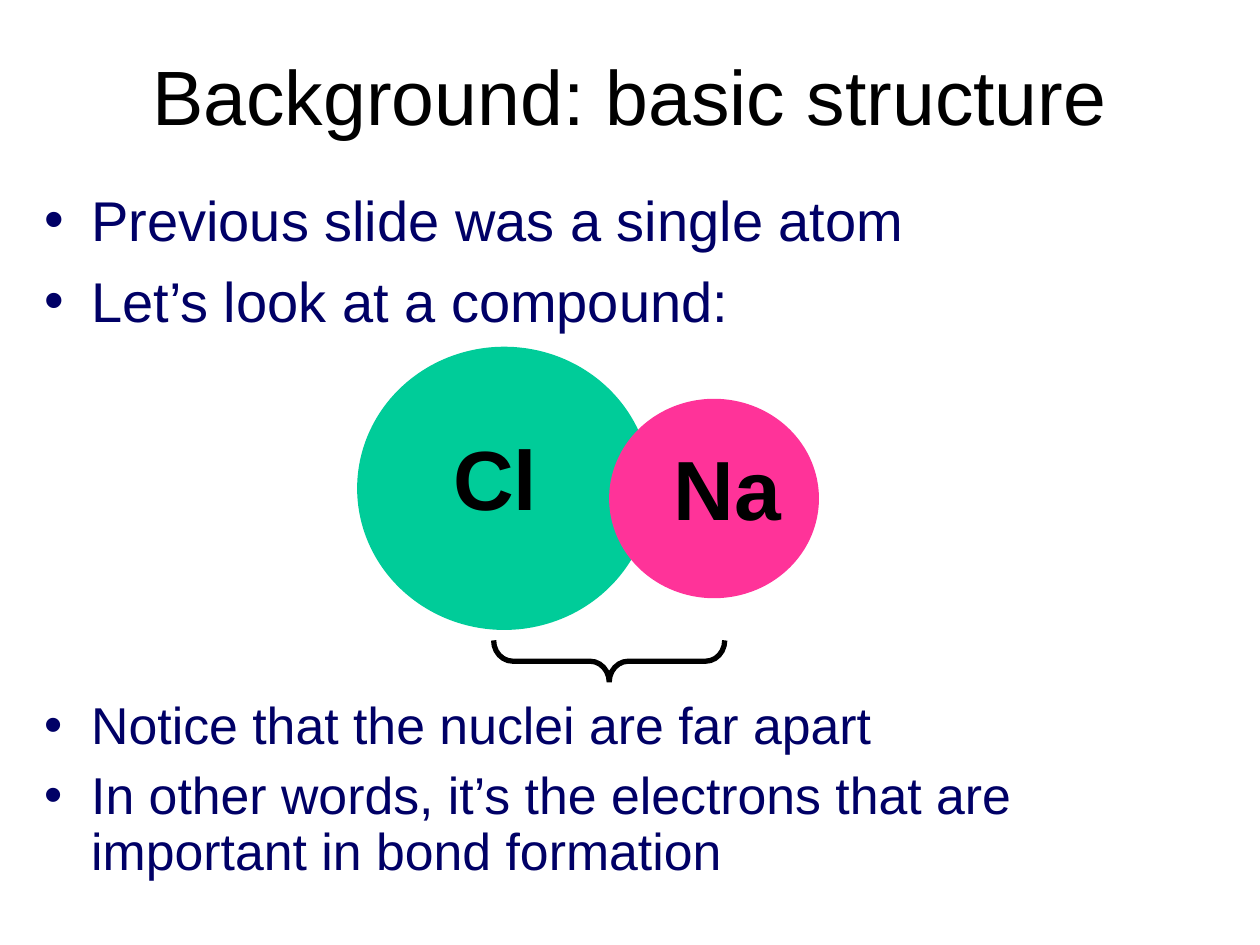
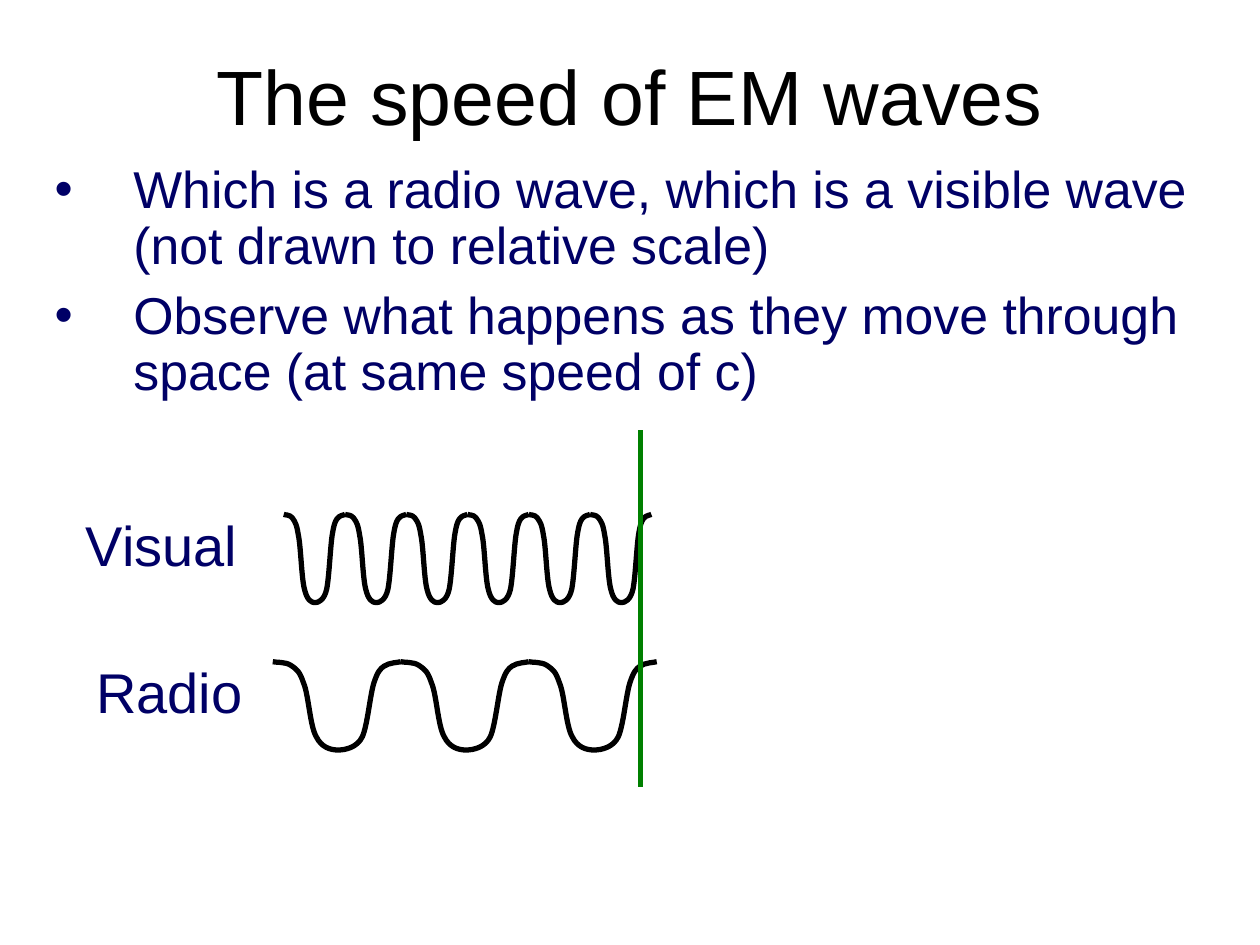
from dataclasses import dataclass

from lxml.etree import SubElement
from pptx import Presentation
from pptx.dml.color import RGBColor
from pptx.enum.shapes import MSO_CONNECTOR, MSO_SHAPE
from pptx.enum.text import MSO_ANCHOR, PP_ALIGN
from pptx.oxml.ns import qn
from pptx.util import Cm, Pt


@dataclass(frozen=True)
class Theme:
    font: str = "Arial"
    black: str = "000000"
    navy: str = "000066"
    chlorine: str = "00CC99"
    sodium: str = "FF3399"
    marker: str = "008000"
    title_size: float = 44
    body_size: float = 32
    compact_size: float = 29.6
    atom_size: float = 48
    line_width: float = 3
    bullet_gap: float = 8


THEME = Theme()

# One wave cycle as fractions of its width and height:
# each row holds two control points and the end of a Bézier curve.
WAVE_CURVES = [
    [(0.02, 0.01), (0.10, 0.00), (0.14, 0.04)],
    [(0.19, 0.09), (0.21, 0.11), (0.24, 0.24)],
    [(0.28, 0.37), (0.29, 0.73), (0.34, 0.85)],
    [(0.38, 0.97), (0.45, 1.00), (0.51, 1.00)],
    [(0.57, 1.00), (0.66, 0.97), (0.70, 0.85)],
    [(0.74, 0.72), (0.76, 0.38), (0.79, 0.24)],
    [(0.82, 0.11), (0.84, 0.08), (0.87, 0.05)],
    [(0.91, 0.01), (0.98, 0.01), (1.00, 0.00)],
]


def apply_format(target, values):
    for name, value in values.items():
        setattr(target, name, value)


def lengths(*values):
    return [Cm(value) for value in values]


def set_line(shape, colour):
    shape.line.color.rgb = RGBColor.from_string(colour)
    shape.line.width = Pt(THEME.line_width)


def make_outline(shape):
    shape.shadow.inherit = False
    shape.fill.background()
    set_line(shape, THEME.black)


def add_bullet(para, indent):
    properties = para._p.get_or_add_pPr()
    properties.set("marL", str(Cm(indent)))
    properties.set("indent", str(-Cm(indent)))
    colour = SubElement(properties, qn("a:buClr"))
    SubElement(colour, qn("a:srgbClr"), val=THEME.navy)
    SubElement(properties, qn("a:buFont"), typeface=THEME.font)
    SubElement(properties, qn("a:buChar"), char="•")


def add_text(page, place, lines, size, colour=THEME.navy, bold=False,
             para_format=None, anchor=MSO_ANCHOR.TOP, indent=None):
    """Add a text box with one paragraph per line, bulleted if indent is given."""
    box = page.shapes.add_textbox(*lengths(*place))
    frame = box.text_frame
    apply_format(frame, {"word_wrap": True, "vertical_anchor": anchor})
    for number, line in enumerate(lines):
        para = frame.add_paragraph() if number else frame.paragraphs[0]
        if indent:
            add_bullet(para, indent)
        apply_format(para, para_format or {})
        if number:
            para.space_before = Pt(THEME.bullet_gap)
        span = para.add_run()
        span.text = line
        apply_format(span.font, {"name": THEME.font, "size": Pt(size), "bold": bold})
        span.font.color.rgb = RGBColor.from_string(colour)


def add_title(page, title):
    add_text(page, (1.9, 0.85, 21.6, 2.11), [title], THEME.title_size, THEME.black,
             para_format={"alignment": PP_ALIGN.CENTER}, anchor=MSO_ANCHOR.MIDDLE)


def add_compact_bullets(page, place, lines, indent):
    add_text(page, place, lines, THEME.compact_size,
             para_format={"line_spacing": 0.9}, indent=indent)


def add_atom(page, place, colour):
    atom = page.shapes.add_shape(MSO_SHAPE.OVAL, *lengths(*place))
    atom.shadow.inherit = False
    atom.fill.solid()
    atom.fill.fore_color.rgb = RGBColor.from_string(colour)
    atom.line.fill.background()


def add_atom_label(page, left, top, symbol):
    add_text(page, (left, top, 3.39, 2.29), [symbol], THEME.atom_size,
             THEME.black, bold=True)


def add_brace(page, place):
    brace = page.shapes.add_shape(MSO_SHAPE.RIGHT_BRACE, *lengths(*place))
    brace.rotation = 90
    brace.adjustments[0] = 0.46
    make_outline(brace)
    SubElement(brace.line._get_or_add_ln(), qn("a:miter"), lim="800000")


def bend_segments(shape, width, height):
    """Turn the straight segments of a wave cycle into its Bézier curves."""
    segments = list(shape._element.iter(qn("a:lnTo")))
    for segment, curve in zip(segments, WAVE_CURVES):
        bend = segment.makeelement(qn("a:cubicBezTo"))
        for x, y in curve:
            SubElement(bend, qn("a:pt"), x=str(Cm(x * width)), y=str(Cm(y * height)))
        segment.getparent().replace(segment, bend)


def add_wave(page, left, top, width, cycles, height=1.78):
    cycle_width = width / cycles
    for cycle in range(cycles):
        cycle_left = left + cycle * cycle_width
        builder = page.shapes.build_freeform(Cm(cycle_left), Cm(top))
        builder.add_line_segments(
            [(Cm(cycle_left + x * cycle_width), Cm(top + y * height))
             for _, _, (x, y) in WAVE_CURVES],
            close=False,
        )
        wave = builder.convert_to_shape()
        bend_segments(wave, cycle_width, height)
        make_outline(wave)


def add_marker(page, x, top, bottom):
    marker = page.shapes.add_connector(
        MSO_CONNECTOR.STRAIGHT, *lengths(x, top, x, bottom))
    set_line(marker, THEME.marker)
    SubElement(marker._element.spPr, qn("a:effectLst"))


def build_structure_page(page):
    add_title(page, "Background: basic structure")
    add_text(page, (0.64, 3.61, 24.13, 3.6),
             ["Previous slide was a single atom", "Let’s look at a compound:"],
             THEME.body_size, indent=0.95)
    add_atom(page, (7.2, 6.99, 5.93, 5.71), THEME.chlorine)
    add_atom(page, (12.28, 8.04, 4.23, 4.02), THEME.sodium)
    add_atom_label(page, 8.89, 8.47, "Cl")
    add_atom_label(page, 13.33, 8.68, "Na")
    add_brace(page, (11.86, 11, 0.84, 4.66))
    add_compact_bullets(
        page, (0.64, 13.99, 23.92, 4.45),
        ["Notice that the nuclei are far apart",
         "In other words, it’s the electrons that are important in bond formation"],
        indent=0.95)


def build_waves_page(page):
    add_title(page, "The speed of EM waves")
    add_wave(page, 5.72, 10.37, width=7.41, cycles=6)
    add_wave(page, 5.5, 13.34, width=7.74, cycles=3)
    add_compact_bullets(
        page, (0.85, 3.18, 23.92, 2.96),
        ["Which is a radio wave, which is a visible wave (not drawn to relative scale)"],
        indent=1.59)
    add_text(page, (1.48, 10.16, 4.23, 1.69), ["Visual"], THEME.body_size)
    add_text(page, (1.69, 13.13, 4.23, 1.69), ["Radio"], THEME.body_size)
    add_marker(page, 12.91, 8.67, 15.87)
    add_compact_bullets(
        page, (0.85, 5.72, 23.71, 2.96),
        ["Observe what happens as they move through space (at same speed of c)"],
        indent=1.59)


def main():
    deck = Presentation()
    apply_format(deck, {"slide_width": Cm(25.4), "slide_height": Cm(19.05)})
    for build_page in (build_structure_page, build_waves_page):
        build_page(deck.slides.add_slide(deck.slide_layouts[6]))
    deck.save("out.pptx")


if __name__ == "__main__":
    main()
